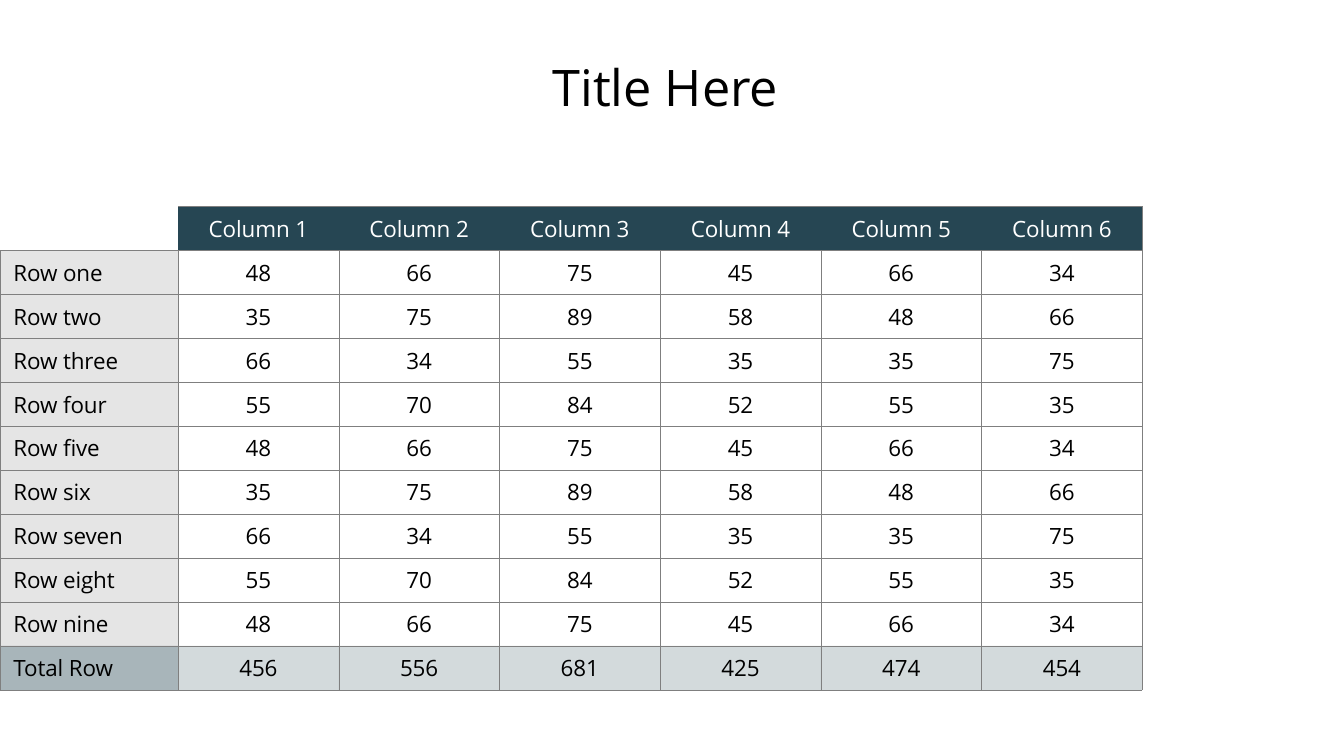
import pptx
import pptx.dml.color
import pptx.enum.text
import pptx.oxml
import pptx.oxml.ns
import pptx.util
from lxml import etree

Pt = pptx.util.Pt
RGBColor = pptx.dml.color.RGBColor
ALIGN = pptx.enum.text.PP_ALIGN
ANCHOR = pptx.enum.text.MSO_ANCHOR
qn = pptx.oxml.ns.qn

# Content
TITLE = "Title Here "
HEADER = ["", "Column 1", "Column 2", "Column 3", "Column 4", "Column 5", "Column 6"]
BODY = [
    ("Row one", 48, 66, 75, 45, 66, 34),
    ("Row two", 35, 75, 89, 58, 48, 66),
    ("Row three", 66, 34, 55, 35, 35, 75),
    ("Row four", 55, 70, 84, 52, 55, 35),
    ("Row five", 48, 66, 75, 45, 66, 34),
    ("Row six", 35, 75, 89, 58, 48, 66),
    ("Row seven", 66, 34, 55, 35, 35, 75),
    ("Row eight", 55, 70, 84, 52, 55, 35),
    ("Row nine", 48, 66, 75, 45, 66, 34),
]
TOTAL = ("Total Row", 456, 556, 681, 425, 474, 454)
ROWS = [HEADER, *BODY, TOTAL]

# Style and layout, in points
FONT = "Open Sans"
BLACK = RGBColor(0x00, 0x00, 0x00)
WHITE = RGBColor(0xFF, 0xFF, 0xFF)
TEAL = RGBColor(0x26, 0x46, 0x53)
GRAY = RGBColor(0x55, 0x55, 0x55)
BORDER = RGBColor(0x7F, 0x7F, 0x7F)
SLIDE_WIDTH, SLIDE_HEIGHT = 1920, 1080
TITLE_BOX = (132, 57.6, 1656, 131)
TABLE_TOP, TABLE_WIDTH, ROW_HEIGHT = 295.2, 1632, 57.6
LABEL_WIDTH = 254.4
MARGIN_X, MARGIN_Y = 19.2, 9.6
NO_STYLE = "{2D5ABB26-0587-4C30-8999-92F81FD0307C}"


def add_run(paragraph, text, size, color):
    run = paragraph.add_run()
    run.text = text
    run.font.name = FONT
    run.font.size = Pt(size)
    run.font.color.rgb = color
    return run


def set_borders(cell, sides):
    properties = cell._tc.get_or_add_tcPr()
    for side in "LRTB":
        line = etree.SubElement(properties, qn(f"a:ln{side}"), w=str(Pt(0.5)))
        if side in sides:
            fill = etree.SubElement(line, qn("a:solidFill"))
            color = etree.SubElement(fill, qn("a:srgbClr"), val=str(BORDER))
            etree.SubElement(color, qn("a:alpha"), val="50000")
        else:
            etree.SubElement(line, qn("a:noFill"))


def set_fill(cell, color, opacity):
    if color is None:
        cell.fill.background()
        return
    cell.fill.solid()
    cell.fill.fore_color.rgb = color
    if opacity < 100:
        color_node = cell._tc.tcPr.find(".//" + qn("a:solidFill") + "[last()]")
        color_node = cell._tc.tcPr.find(qn("a:solidFill") + "/" + qn("a:srgbClr"))
        etree.SubElement(color_node, qn("a:alpha"), val=str(opacity * 1000))


def cell_look(row, column):
    """Return the fill colour, its opacity in percent and the bordered sides."""
    if row == 0:
        if column == 0:
            return None, 100, "B"
        return TEAL, 100, "TRB" if column == len(HEADER) - 1 else "TB"
    if row == len(ROWS) - 1:
        return TEAL, 40 if column == 0 else 20, "LRTB"
    return (GRAY if column == 0 else None), 15, "LRTB"


def fill_cell(cell, row, column, text):
    color, opacity, sides = cell_look(row, column)
    set_borders(cell, sides)
    set_fill(cell, color, opacity)
    cell.margin_left = cell.margin_right = Pt(MARGIN_X)
    cell.margin_top = cell.margin_bottom = Pt(MARGIN_Y)
    is_total_value = row == len(ROWS) - 1 and column > 0
    cell.vertical_anchor = ANCHOR.BOTTOM if is_total_value else ANCHOR.MIDDLE
    if text:
        paragraph = cell.text_frame.paragraphs[0]
        paragraph.alignment = ALIGN.LEFT if column == 0 else ALIGN.CENTER
        run = add_run(paragraph, text, 32, WHITE if row == 0 else BLACK)
        run.font._element.set("spc", "-20")


def add_title(slide):
    title = slide.shapes.title
    title.left, title.top, title.width, title.height = map(Pt, TITLE_BOX)
    title.text_frame.vertical_anchor = ANCHOR.MIDDLE
    paragraph = title.text_frame.paragraphs[0]
    paragraph.alignment = ALIGN.CENTER
    add_run(paragraph, TITLE, 72, BLACK)


def add_data_table(slide):
    frame = slide.shapes.add_table(
        len(ROWS), len(HEADER), Pt(0), Pt(TABLE_TOP),
        Pt(TABLE_WIDTH), Pt(ROW_HEIGHT * len(ROWS)))
    table = frame.table
    table.horz_banding = False
    table._tbl.tblPr.find(qn("a:tableStyleId")).text = NO_STYLE

    value_width = (TABLE_WIDTH - LABEL_WIDTH) / (len(HEADER) - 1)
    for index, column in enumerate(table.columns):
        column.width = Pt(value_width if index else LABEL_WIDTH)
    for row, values in enumerate(ROWS):
        table.rows[row].height = Pt(ROW_HEIGHT)
        for column, value in enumerate(values):
            fill_cell(table.cell(row, column), row, column, str(value))


def main():
    presentation = pptx.Presentation()
    presentation.slide_width = Pt(SLIDE_WIDTH)
    presentation.slide_height = Pt(SLIDE_HEIGHT)
    slide = presentation.slides.add_slide(presentation.slide_layouts[5])
    add_title(slide)
    add_data_table(slide)
    presentation.save("out.pptx")


if __name__ == "__main__":
    main()
